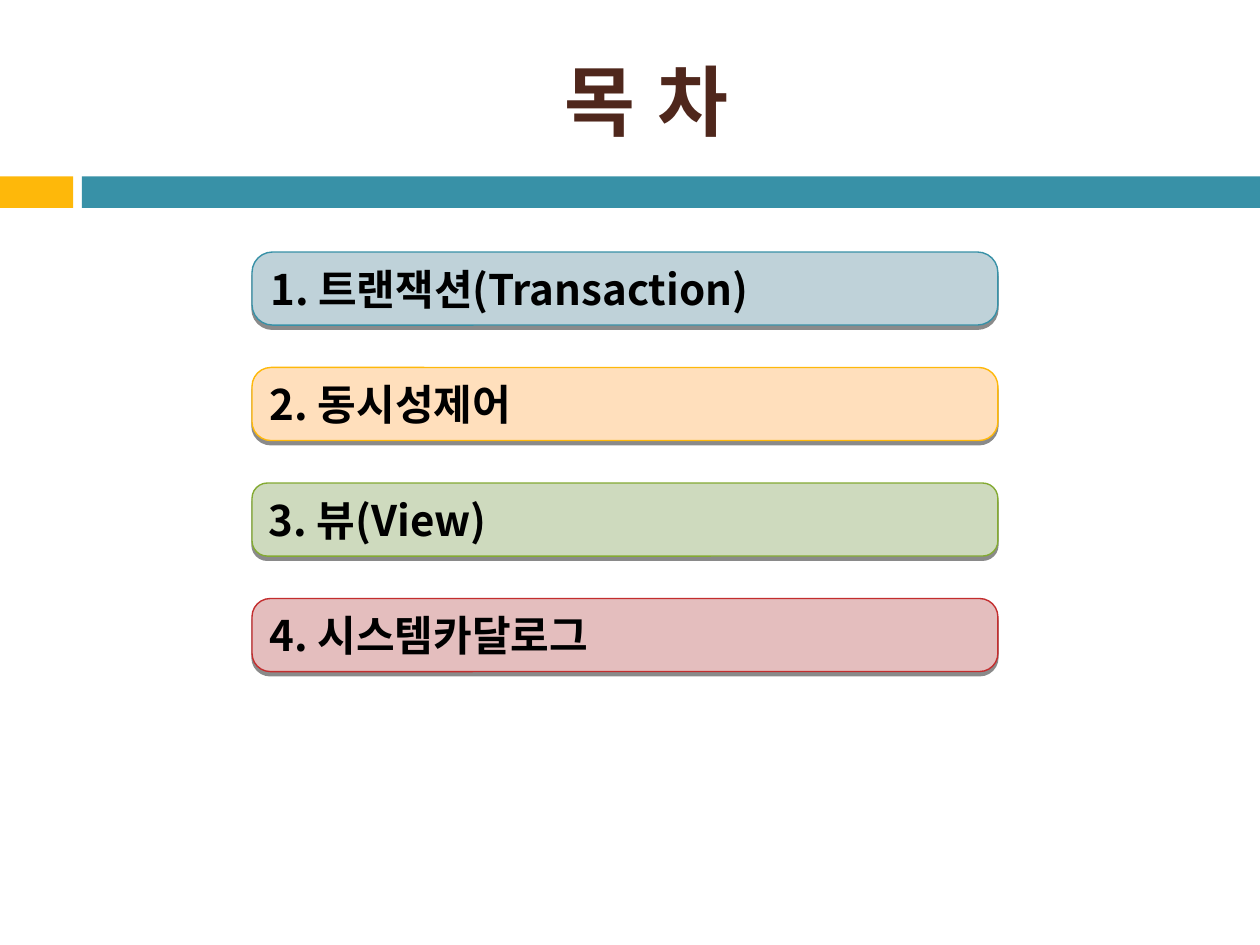
from lxml import etree
from pptx import Presentation
from pptx.dml.color import RGBColor
from pptx.enum import shapes, text
from pptx.oxml import ns
from pptx.util import Inches, Pt

FONT = "Noto Sans CJK KR"
COLORS = {
    "title": "4F271C", "text": "000000", "shadow": "000000",
    "teal": "3891A7", "amber": "FEB80A", "green": "84AA33", "red": "C32D2E",
    "pale teal": "BFD2D9", "pale amber": "FFDFBC",
    "pale green": "CEDABE", "pale red": "E4BEBE",
}


def color(name):
    return RGBColor.from_string(COLORS[name])


def write(box, wording, size, shade, align):
    frame = box.text_frame
    frame.word_wrap = True
    frame.vertical_anchor = text.MSO_ANCHOR.MIDDLE
    para = frame.paragraphs[0]
    span = para.add_run()
    span.text = wording
    para.alignment = align
    para.font.name = FONT
    para.font.size = Pt(size)
    para.font.bold = True
    para.font.color.rgb = color(shade)
    span_props = span.font._element
    span_props.set("lang", "ko-KR")
    etree.SubElement(span_props, ns.qn("a:ea"), typeface=FONT)


deck = Presentation()
deck.slide_width, deck.slide_height = Inches(10), Inches(7.5)
page = deck.slides.add_slide(deck.slide_layouts[5])

for left, width, name in [(0, 0.58, "amber"), (0.65, 9.35, "teal")]:
    band = page.shapes.add_shape(
        shapes.MSO_SHAPE.RECTANGLE, Inches(left), Inches(1.4), Inches(width), Inches(0.25))
    band.shadow.inherit = False
    band.fill.solid()
    band.fill.fore_color.rgb = color(name)
    band.line.fill.background()

title = page.shapes.title
title.left, title.top = Inches(0.67), Inches(0.25)
title.width, title.height = Inches(8.92), Inches(1.08)
write(title, "목 차", 44, "title", text.PP_ALIGN.CENTER)

chapters = [
    ("1. 트랜잭션(Transaction)", "teal", 0.28),
    ("2. 동시성제어", "amber", 0.26),
    ("3. 뷰(View)", "green", 0.21),
    ("4. 시스템카달로그", "red", 0.25),
]
first_top, last_top = 2, 4.75
pitch = (last_top - first_top) / (len(chapters) - 1)
for index, (wording, name, rounding) in enumerate(chapters):
    box = page.shapes.add_shape(
        shapes.MSO_SHAPE.ROUNDED_RECTANGLE,
        Inches(2), Inches(first_top + index * pitch), Inches(5.92), Inches(0.58))
    box.adjustments[0] = rounding
    box.fill.solid()
    box.fill.fore_color.rgb = color("pale " + name)
    box.line.color.rgb = color(name)
    box.line.width = Pt(0.79)
    box.shadow.inherit = False
    effects = box._element.spPr.find(ns.qn("a:effectLst"))
    shadow = etree.SubElement(
        effects, ns.qn("a:outerShdw"), blurRad="0", dist=str(Pt(2.4)),
        dir="5400000", algn="ctr", rotWithShape="0")
    shade = etree.SubElement(shadow, ns.qn("a:srgbClr"), val=COLORS["shadow"])
    etree.SubElement(shade, ns.qn("a:alpha"), val="45000")
    write(box, wording, 24, "text", text.PP_ALIGN.LEFT)

deck.save("out.pptx")
